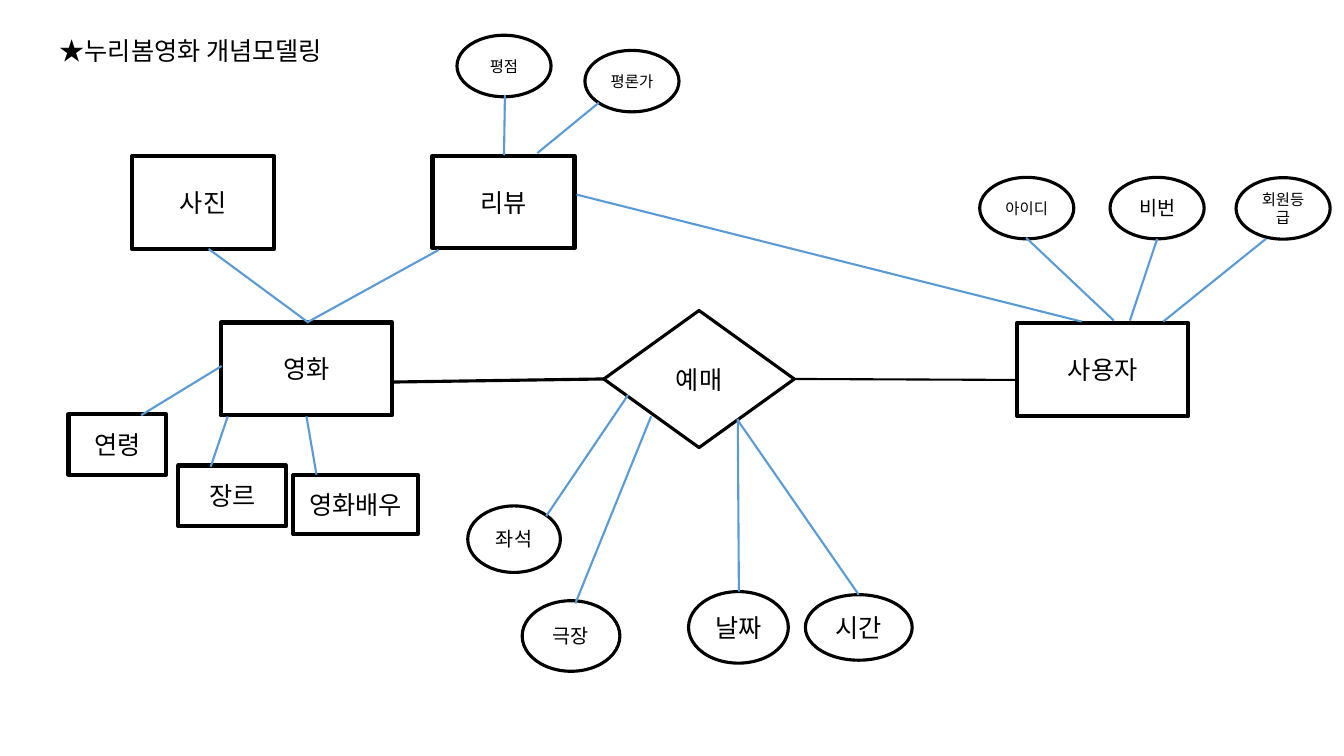
from dataclasses import dataclass

from lxml import etree
from pptx import Presentation
from pptx.dml.color import RGBColor
from pptx.enum.shapes import MSO_CONNECTOR, MSO_SHAPE
from pptx.enum.text import MSO_ANCHOR, PP_ALIGN
from pptx.oxml.ns import qn
from pptx.util import Pt

RECTANGLE = MSO_SHAPE.RECTANGLE
OVAL = MSO_SHAPE.OVAL
DECISION = MSO_SHAPE.FLOWCHART_DECISION
STRAIGHT = MSO_CONNECTOR.STRAIGHT
MIDDLE = MSO_ANCHOR.MIDDLE
CENTER = PP_ALIGN.CENTER
LEFT = PP_ALIGN.LEFT


@dataclass(frozen=True)
class Theme:
    font: str = "Noto Sans CJK KR"
    ink: RGBColor = RGBColor(0x00, 0x00, 0x00)
    paper: RGBColor = RGBColor(0xFF, 0xFF, 0xFF)
    link: RGBColor = RGBColor(0x5B, 0x9B, 0xD5)
    large: float = 18
    medium: float = 14
    small: float = 11
    heavy: float = 3
    bold: float = 2.25
    thin: float = 1.5


class Diagram:
    def __init__(self, slide, theme):
        self.slide = slide
        self.theme = theme

    def label(self, frame, text, size, align):
        frame.word_wrap = True
        paragraph = frame.paragraphs[0]
        paragraph.alignment = align
        run = paragraph.add_run()
        run.text = text
        run.font.size = Pt(size)
        run.font.name = self.theme.font
        run.font.color.rgb = self.theme.ink
        east_asian = etree.SubElement(run.font._element, qn("a:ea"))
        east_asian.set("typeface", self.theme.font)

    def title(self, text, box):
        frame = self.slide.shapes.add_textbox(*map(Pt, box)).text_frame
        frame.margin_left = frame.margin_right = 0
        frame.margin_top = frame.margin_bottom = 0
        self.label(frame, text, self.theme.large, LEFT)

    def node(self, kind, text, box, size, weight):
        node = self.slide.shapes.add_shape(kind, *map(Pt, box))
        node.shadow.inherit = False
        node.fill.solid()
        node.fill.fore_color.rgb = self.theme.paper
        node.line.color.rgb = self.theme.ink
        node.line.width = Pt(weight)
        node.text_frame.vertical_anchor = MIDDLE
        self.label(node.text_frame, text, size, CENTER)

    def entity(self, text, box):
        self.node(RECTANGLE, text, box, self.theme.large, self.theme.heavy)

    def relation(self, text, box):
        self.node(DECISION, text, box, self.theme.large, self.theme.bold)

    def attribute(self, text, box, size):
        self.node(OVAL, text, box, size, self.theme.bold)

    def line(self, ends, color, weight):
        line = self.slide.shapes.add_connector(STRAIGHT, *map(Pt, ends))
        line.line.color.rgb = color
        line.line.width = Pt(weight)
        etree.SubElement(line._element.spPr, qn("a:effectLst"))


theme = Theme()
presentation = Presentation()
presentation.slide_width = Pt(960)
presentation.slide_height = Pt(540)
diagram = Diagram(presentation.slides.add_slide(presentation.slide_layouts[6]), theme)

diagram.title("★누리봄영화 개념모델링", (42.5, 25.2, 241.2, 21.6))

entities = {
    "영화": (157.7, 230.4, 122.4, 66.2),
    "사용자": (726.5, 230.8, 122.4, 66.2),
    "사진": (94.3, 111.6, 101.5, 66.2),
    "리뷰": (308.9, 111.2, 101.5, 66.2),
    "영화배우": (209.5, 339.5, 89.3, 41.8),
    "장르": (127.4, 332.6, 77, 43.2),
    "연령": (49, 296, 69.8, 43.2),
}
for name, box in entities.items():
    diagram.entity(name, box)

diagram.relation("예매", (431.3, 221.8, 136.1, 97.9))

booking_attributes = [
    ("날짜", (491.8, 422.6, 71.3, 51.1), theme.large),
    ("시간", (575.3, 424.8, 76.3, 46.8), theme.large),
    ("극장", (373, 429.1, 69.8, 50.4), theme.medium),
    ("좌석", (334.1, 361.4, 66.2, 47.5), theme.medium),
]
for name, box, size in booking_attributes:
    diagram.attribute(name, box, size)

detail_attributes = [
    ("아이디", 699.8, 126.7, theme.small),
    ("비번", 792.9, 126.7, theme.medium),
    ("회원등급", 882.9, 126.9, theme.small),
    ("평점", 326.4, 25.2, theme.small),
    ("평론가", 417.8, 36, theme.small),
]
for name, left, top, size in detail_attributes:
    diagram.attribute(name, (left, top, 67.2, 43.9), size)

diagram.line((280.1, 272.9, 431.3, 270.7), theme.ink, theme.bold)
diagram.line((567.4, 270.7, 727, 271.4), theme.ink, theme.thin)

links = [
    (527, 299, 527.8, 422.6),
    (527, 300.2, 613.4, 424.8),
    (465.1, 297.4, 411, 431),
    (448.6, 282.2, 390.2, 368.6),
    (313.2, 178.6, 219.2, 230.4),
    (149, 177.8, 219.6, 229.9),
    (411.8, 139, 772.6, 229.7),
    (218.9, 297.4, 226.1, 339.1),
    (158.4, 261.4, 100.8, 296.6),
    (162.7, 297.4, 150.5, 333.4),
    (904.3, 170.6, 830.9, 229.7),
    (826.6, 170.6, 807.1, 229),
    (733, 169.9, 795.6, 229),
    (360.7, 67.7, 360, 110.9),
    (427.7, 73.4, 383.8, 109.4),
]
for ends in links:
    diagram.line(ends, theme.link, theme.thin)

presentation.save("out.pptx")
